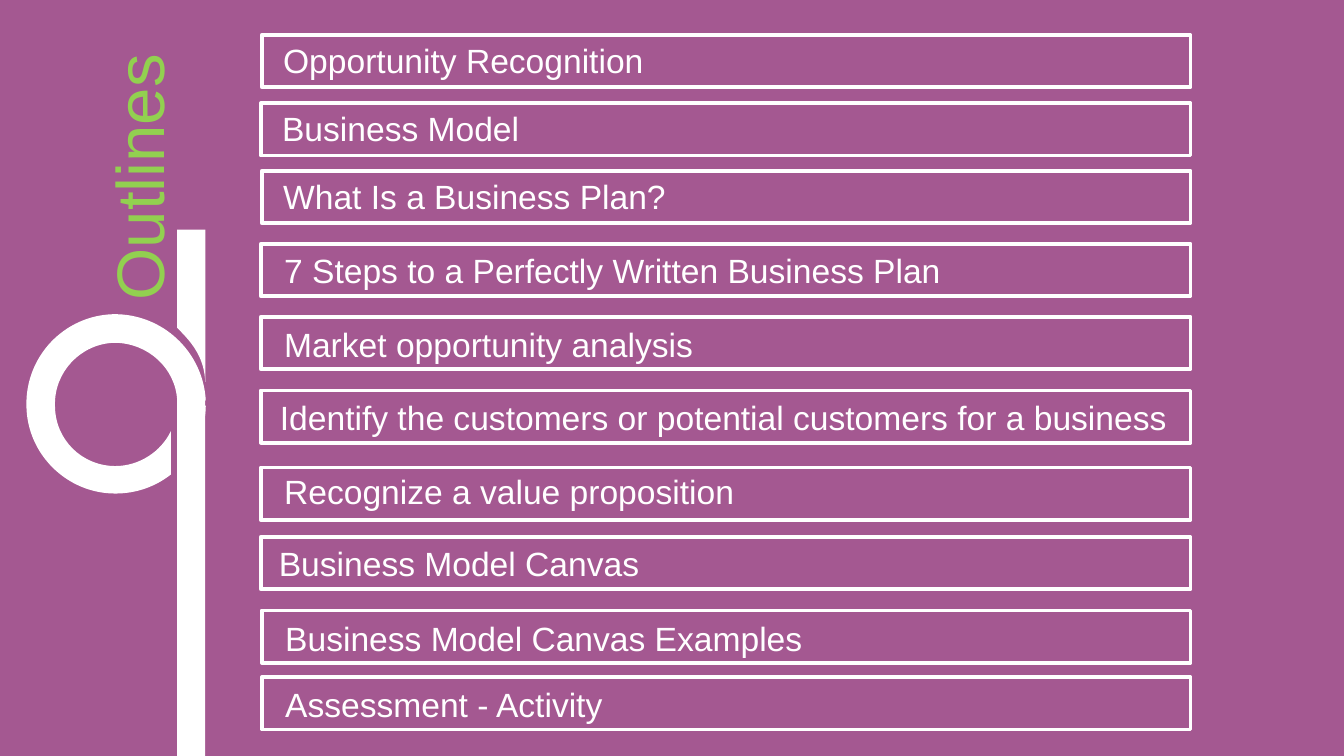
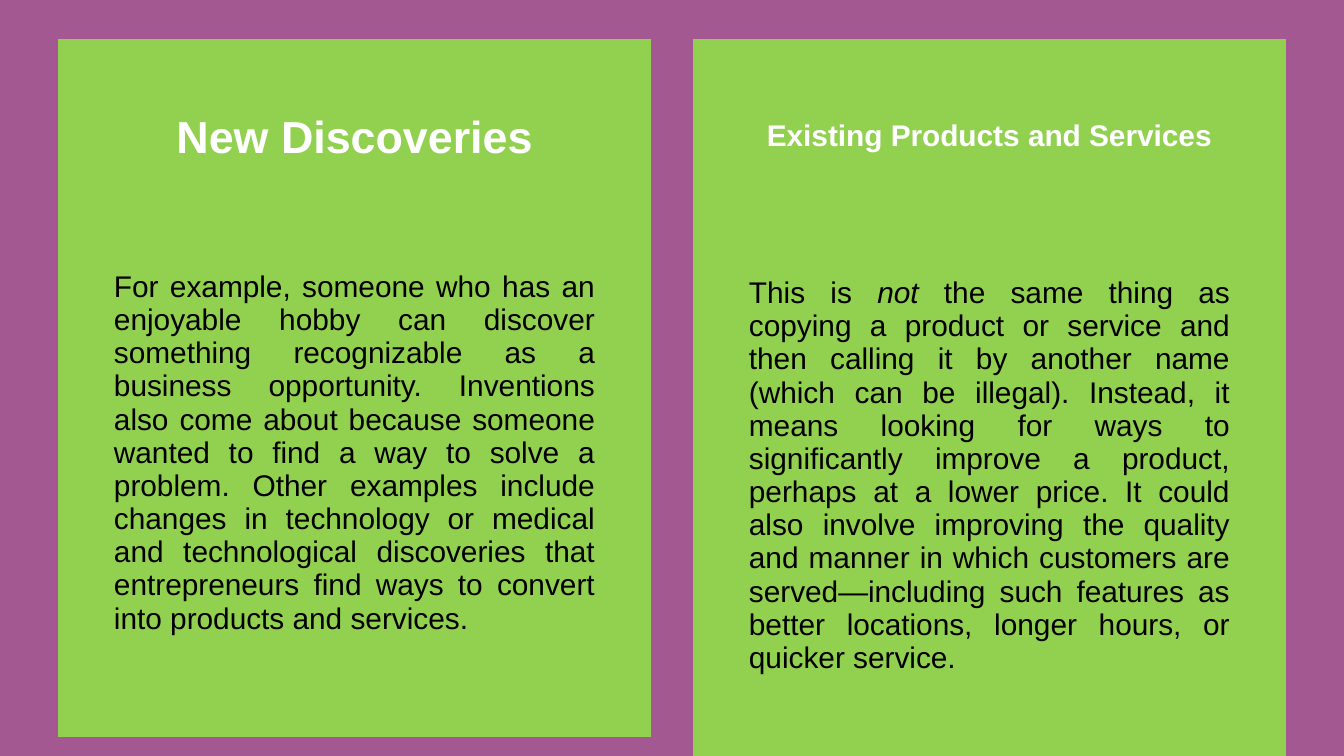
from dataclasses import dataclass

from lxml.etree import SubElement
from pptx import Presentation
from pptx.dml.color import RGBColor
from pptx.enum.shapes import MSO_SHAPE as Form
from pptx.enum.text import MSO_ANCHOR as Anchor, MSO_AUTO_SIZE as Auto, PP_ALIGN as Align
from pptx.oxml.ns import qn
from pptx.util import Cm, Pt

# Shared look
PLUM = RGBColor(0xA4, 0x58, 0x91)
LIME = RGBColor(0x92, 0xD0, 0x50)
WHITE = RGBColor(0xFF, 0xFF, 0xFF)
BLACK = RGBColor(0x00, 0x00, 0x00)
FACE = "Arial"

Spot = tuple[float, float]
# A step of one spot is a line, a step of three is a curve
Steps = list[list[Spot]]


@dataclass
class Item:
    text: str
    top: float
    left: float = 4.93
    shift: float = 0.1
    rise: float = 0.08
    width: float = 14
    height: float = 1.88


@dataclass
class Card:
    left: float
    rows: list[float]
    title: str
    size: int
    body: list[tuple[str, bool]]


ITEMS = [
    Item("Opportunity Recognition", 0.66, 4.95, height=1.07),
    Item("Business Model", 1.95, height=1.07),
    Item("What Is a Business Plan?", 3.23, 4.95, height=1.07),
    Item("7 Steps to a Perfectly Written Business Plan", 4.61, rise=0.11),
    Item("Market opportunity analysis", 5.99),
    Item("Identify the customers or potential customers for a business",
         7.38, shift=0.02, rise=0.09, width=19.48),
    Item("Recognize a value proposition", 8.84, rise=0.15),
    Item("Business Model Canvas", 10.15, shift=0, rise=0.11, width=16.13),
    Item("Business Model Canvas Examples", 11.54, 4.95),
    Item("Assessment - Activity", 12.8, 4.95),
]

RING: list[Steps] = [
    [[(3.76, 7.67)], [(3.89, 7.67)],
     [(3.89, 7.87), (3.84, 8.08), (3.76, 8.28)]],
    [[(2.13, 5.94)],
     [(3.07, 5.92), (3.84, 6.65), (3.89, 7.57)],
     [(3.35, 7.59)],
     [(3.33, 6.96), (2.79, 6.48), (2.16, 6.48)],
     [(1.52, 6.5), (1.02, 7.04), (1.04, 7.67)],
     [(1.04, 8.31), (1.55, 8.81), (2.18, 8.81)],
     [(2.64, 8.81), (3.05, 8.53), (3.23, 8.15)],
     [(3.23, 8.97)],
     [(2.95, 9.19), (2.59, 9.33), (2.18, 9.33)],
     [(1.27, 9.33), (0.51, 8.59), (0.5, 7.67)],
     [(0.48, 6.73), (1.22, 5.97), (2.13, 5.94)]],
]
STEM: list[Steps] = [
    [[(3.35, 4.34)], [(3.88, 4.34)],
     [(3.88, 5.31), (3.88, 6.27), (3.88, 7.22)],
     [(3.86, 6.78), (3.66, 6.5), (3.35, 6.2)],
     [(3.35, 4.34)]],
]

CARDS = [
    Card(1.1, [1.19, 1.35, 0.43, 8.53, 1.1], "New Discoveries", 24, [
        ("For example, someone who has an enjoyable hobby can discover something "
         "recognizable as a business opportunity. Inventions also come about because "
         "someone wanted to find a way to solve a problem. Other examples include "
         "changes in technology or medical and technological discoveries that "
         "entrepreneurs find ways to convert into products and services.", False)]),
    Card(13.1, [1.02, 1.63, 0.33, 9.17, 0.46], "Existing Products and Services", 16, [
        ("This is ", False),
        ("not ", True),
        ("the same thing as copying a product or service and then calling it by "
         "another name (which can be illegal). Instead, it means looking for ways to "
         "significantly improve a product, perhaps at a lower price. It could also "
         "involve improving the quality and manner in which customers are "
         "served—including such features as better locations, longer hours, or "
         "quicker service.", False)]),
]


def set_all(target, values: dict) -> None:
    for name, value in values.items():
        setattr(target, name, value)


def add_run(para, text: str, size: float, color: RGBColor, **more) -> None:
    run = para.add_run()
    run.text = text
    set_all(run.font, {"name": FACE, "size": Pt(size), **more})
    run.font.color.rgb = color


def paint(shape, fill: RGBColor | None = None, line: RGBColor | None = None) -> None:
    shape.shadow.inherit = False
    for part, color in ((shape.fill, fill), (shape.line.fill, line)):
        if color is None:
            part.background()
        else:
            part.solid()
            part.fore_color.rgb = color
    if line is not None:
        shape.line.width = Pt(2)


def add_form(slide, kind: Form, left: float, top: float, width: float, height: float):
    return slide.shapes.add_shape(kind, Cm(left), Cm(top), Cm(width), Cm(height))


def new_slide(deck):
    slide = deck.slides.add_slide(deck.slide_layouts[6])
    slide.background.fill.solid()
    slide.background.fill.fore_color.rgb = PLUM
    return slide


# Curved outlines
def bend(shape, loops: list[Steps]) -> None:
    """Join the three lines of each curved step into one curve."""
    lines = iter(list(shape._element.iter(qn("a:lnTo"))))
    for loop in loops:
        for step in loop[1:]:
            first, *rest = [next(lines) for _ in step]
            if rest:
                first.tag = qn("a:cubicBezTo")
            for line in rest:
                first.append(line[0])
                line.getparent().remove(line)


def add_loops(slide, loops: list[Steps]) -> None:
    pen = None
    for loop in loops:
        start, *ends = [(Cm(x), Cm(y)) for step in loop for x, y in step]
        if pen is None:
            pen = slide.shapes.build_freeform(*start)
        else:
            pen.move_to(*start)
        pen.add_line_segments(ends, close=True)
    shape = pen.convert_to_shape()
    bend(shape, loops)
    paint(shape, WHITE)


# Outline slide
def draw_title(slide) -> None:
    box = slide.shapes.add_textbox(Cm(-0.5), Cm(2.55), Cm(6.2), Cm(1.6))
    box.rotation = 270
    set_all(box.text_frame, {"word_wrap": True, "vertical_anchor": Anchor.MIDDLE})
    para = box.text_frame.paragraphs[0]
    para.alignment = Align.CENTER
    add_run(para, "Outlines", 36, LIME)


def draw_item(slide, item: Item) -> None:
    bar = add_form(slide, Form.RECTANGLE, item.left, item.top, 22.5 - item.left, 0.99)
    paint(bar, line=WHITE)
    label = add_form(slide, Form.ROUND_2_SAME_RECTANGLE, item.left + item.shift,
                     item.top - item.rise, item.width, item.height)
    paint(label)
    frame = label.text_frame
    set_all(frame, {"word_wrap": True, "vertical_anchor": Anchor.TOP,
                    "auto_size": Auto.SHAPE_TO_FIT_TEXT})
    frame.paragraphs[0].alignment = Align.LEFT
    add_run(frame.paragraphs[0], item.text, 18, WHITE)


# Card slide
def fill_cell(cell) -> None:
    props = cell._tc.get_or_add_tcPr()
    for side in ("lnL", "lnR", "lnT", "lnB"):
        SubElement(SubElement(props, qn(f"a:{side}"), w="0"), qn("a:noFill"))
    cell.fill.solid()
    cell.fill.fore_color.rgb = LIME


def open_cell(cell, align: Align):
    cell.vertical_anchor = Anchor.MIDDLE
    para = cell.text_frame.paragraphs[0]
    para.alignment = align
    return para


def draw_card(slide, card: Card) -> None:
    cols = [0.8, 9.6, 0.8]
    table = slide.shapes.add_table(len(card.rows), len(cols), Cm(card.left), Cm(0.74),
                                   Cm(sum(cols)), Cm(sum(card.rows))).table
    set_all(table, {"first_row": False, "horz_banding": False})
    for col, width in zip(table.columns, cols):
        col.width = Cm(width)
    for row, height in zip(table.rows, card.rows):
        row.height = Cm(height)
    for cell in table.iter_cells():
        fill_cell(cell)
    add_run(open_cell(table.cell(1, 1), Align.CENTER), card.title, card.size, WHITE, bold=True)
    para = open_cell(table.cell(3, 1), Align.JUSTIFY)
    for text, slant in card.body:
        add_run(para, text, 16, BLACK, bold=False, italic=slant)


def main() -> None:
    deck = Presentation()
    set_all(deck, {"slide_width": Cm(25.4), "slide_height": Cm(14.29)})
    slide = new_slide(deck)
    add_loops(slide, RING)
    add_loops(slide, STEM)
    draw_title(slide)
    paint(add_form(slide, Form.RECTANGLE, 3.35, 7.52, 0.53, 6.77), WHITE)
    for item in ITEMS:
        draw_item(slide, item)
    slide = new_slide(deck)
    for card in CARDS:
        draw_card(slide, card)
    deck.save("out.pptx")


if __name__ == "__main__":
    main()
